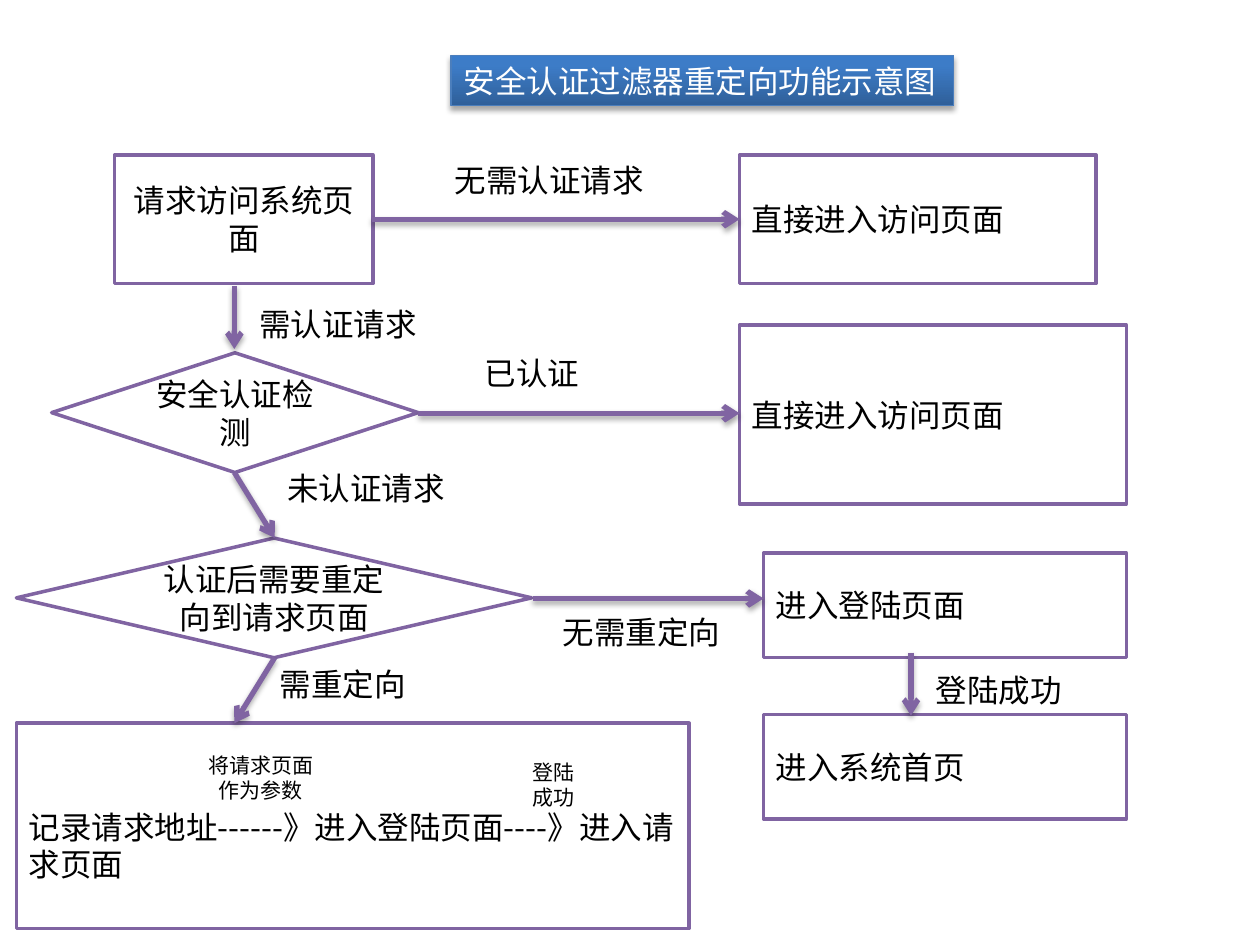
from copy import deepcopy

from lxml.etree import SubElement
from pptx import Presentation
from pptx.dml.color import RGBColor
from pptx.enum.shapes import MSO_CONNECTOR as Connector, MSO_SHAPE as Shape
from pptx.enum.text import MSO_ANCHOR as Anchor, MSO_AUTO_SIZE as AutoSize, PP_ALIGN as Align
from pptx.oxml.ns import qn
from pptx.util import Inches, Pt

COLORS = {
    "white": "FFFFFF", "black": "000000", "purple": "8064A2", "title_line": "4B7EBC",
    "title_bottom": "2F5F99", "title_middle": "3D7CC7", "title_top": "3A7CCB",
}
CJK_FONT = "Noto Sans CJK SC"
SMALL_FONT = "Calibri"

BOXES = [
    ("请求访问系统页面", 0.91, 1.23, 2.05, 1.02, Align.CENTER),
    ("直接进入访问页面", 5.87, 1.23, 2.83, 1.02, Align.LEFT),
    ("直接进入访问页面", 5.87, 2.58, 3.07, 1.42, Align.LEFT),
    ("进入登陆页面", 6.06, 4.39, 2.88, 0.83, Align.LEFT),
    ("进入系统首页", 6.06, 5.67, 2.88, 0.83, Align.LEFT),
]
DECISIONS = [
    ("安全认证检测", 0.41, 2.8, 2.91, 0.95),
    ("认证后需要重定向到请求页面", 0.13, 4.27, 4.09, 0.95),
]
ARROWS = [
    (2.95, 1.74, 5.87, 1.74),
    (1.86, 2.27, 1.86, 2.77),
    (3.32, 3.28, 5.87, 3.28),
    (1.86, 3.75, 2.18, 4.27),
    (4.23, 4.75, 6.06, 4.75),
    (2.18, 5.22, 1.86, 5.74),
    (7.23, 5.18, 7.23, 5.68),
]
LABELS = [
    ("无需认证请求", 3.51, 1.23, 1.72),
    ("需认证请求", 1.96, 2.37, 1.46),
    ("已认证", 3.75, 2.76, 0.96),
    ("未认证请求", 2.18, 3.67, 1.46),
    ("无需重定向", 4.37, 4.82, 1.46),
    ("需重定向", 2.12, 5.23, 1.21),
    ("登陆成功", 7.33, 5.28, 1.21),
]
NOTES = [
    ("将请求页面\n作为参数", 1.55, 5.92, 1.04),
    ("登陆\n成功", 4.12, 5.98, 0.54),
]


def rgb(name):
    return RGBColor.from_string(COLORS[name])


def write(shape, text, align=Align.LEFT, size=18, font=CJK_FONT, color="black"):
    shape.text_frame.text = text
    for para in shape.text_frame.paragraphs:
        para.alignment = align
        for span in para.runs:
            span.font.size = Pt(size)
            span.font.color.rgb = rgb(color)
            span.font.name = font
            SubElement(span._r.get_or_add_rPr(), qn("a:ea"), typeface=CJK_FONT)


def add_soft_shadow(shape):
    effects = SubElement(shape._element.spPr, qn("a:effectLst"))
    shadow = SubElement(effects, qn("a:outerShdw"), blurRad="40000", dist="23000",
                        dir="5400000", rotWithShape="0")
    color = SubElement(shadow, qn("a:srgbClr"), val=COLORS["black"])
    SubElement(color, qn("a:alpha"), val="35000")


def format_title(title):
    title.left, title.top = Inches(3.58), Inches(0.44)
    title.width, title.height = Inches(3.99), Inches(0.4)
    write(title, "安全认证过滤器重定向功能示意图", color="white")
    title.text_frame.vertical_anchor = Anchor.TOP
    title.text_frame.word_wrap = False
    title.text_frame.auto_size = AutoSize.NONE
    title.fill.gradient()
    title.fill.gradient_angle = 90
    stops = title._element.spPr.find(".//" + qn("a:gsLst"))
    stops.insert(1, deepcopy(stops[0]))
    shades = [(0, "title_bottom"), (0.8, "title_middle"), (1, "title_top")]
    for stop, (position, color) in zip(title.fill.gradient_stops, shades):
        stop.position = position
        stop.color.rgb = rgb(color)
    title.line.color.rgb = rgb("title_line")
    title.line.width = Pt(0.75)
    add_soft_shadow(title)


def add_step(page, kind, text, left, top, width, height, align):
    box = page.shapes.add_shape(kind, Inches(left), Inches(top), Inches(width), Inches(height))
    box.shadow.inherit = False
    box.fill.solid()
    box.fill.fore_color.rgb = rgb("white")
    box.line.color.rgb = rgb("purple")
    box.line.width = Pt(2)
    box.text_frame.vertical_anchor = Anchor.MIDDLE
    write(box, text, align)
    return box


def add_arrow(page, *ends):
    arrow = page.shapes.add_connector(Connector.STRAIGHT, *map(Inches, ends))
    arrow.line.color.rgb = rgb("purple")
    arrow.line.width = Pt(3)
    SubElement(arrow.line._get_or_add_ln(), qn("a:tailEnd"), type="arrow")
    add_soft_shadow(arrow)


def add_label(page, text, left, top, width, height=0.4, **style):
    label = page.shapes.add_textbox(Inches(left), Inches(top), Inches(width), Inches(height))
    label.text_frame.word_wrap = False
    label.text_frame.auto_size = AutoSize.SHAPE_TO_FIT_TEXT
    write(label, text, **style)


def main():
    deck = Presentation()
    deck.slide_width, deck.slide_height = Inches(10), Inches(7.5)
    page = deck.slides.add_slide(deck.slide_layouts[5])
    format_title(page.shapes.title)

    for box in BOXES:
        add_step(page, Shape.RECTANGLE, *box)
    for decision in DECISIONS:
        add_step(page, Shape.FLOWCHART_DECISION, *decision, Align.CENTER)
    record = add_step(page, Shape.RECTANGLE, "记录请求地址------》进入登陆页面----》进入请求页面",
                      0.13, 5.74, 5.34, 1.63, Align.LEFT)
    record.text_frame.margin_top = Inches(0.36)

    for arrow in ARROWS:
        add_arrow(page, *arrow)
    for label in LABELS:
        add_label(page, *label)
    for note in NOTES:
        add_label(page, *note, height=0.5, align=Align.CENTER, size=12, font=SMALL_FONT)

    deck.save("out.pptx")


if __name__ == "__main__":
    main()
